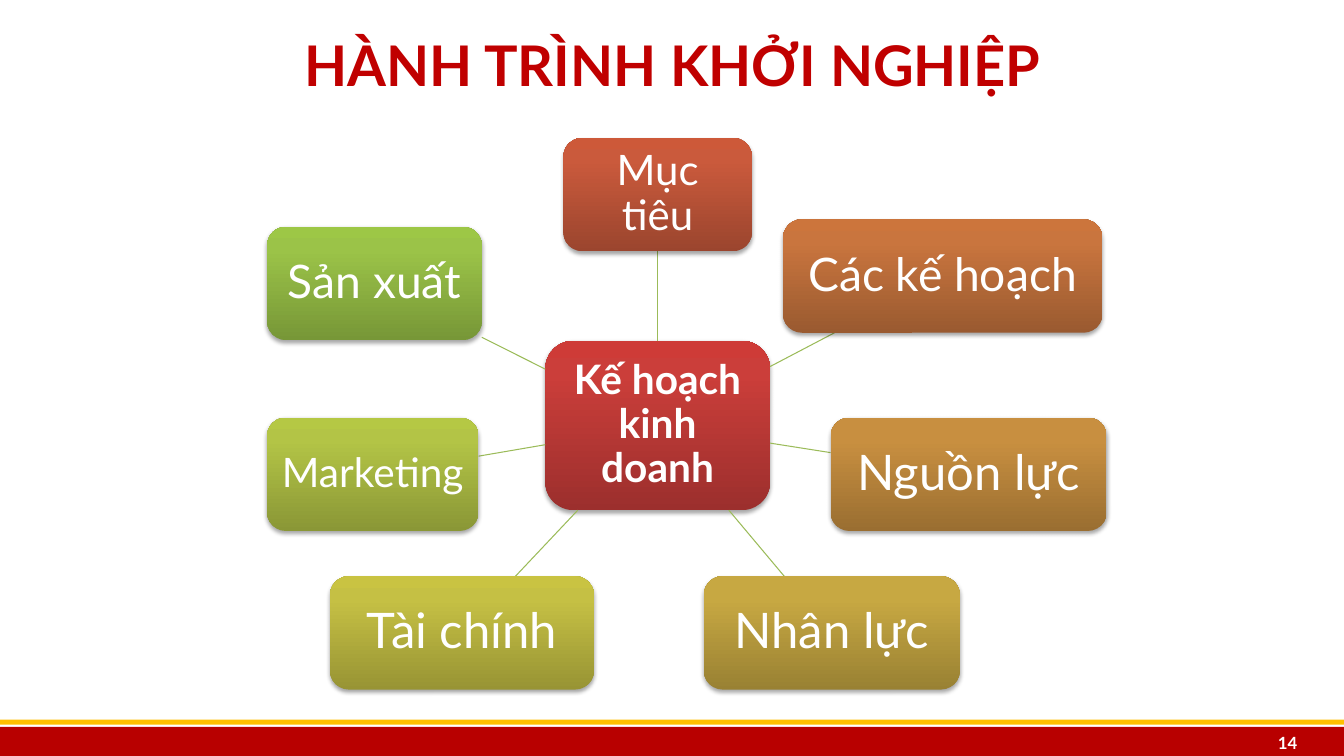
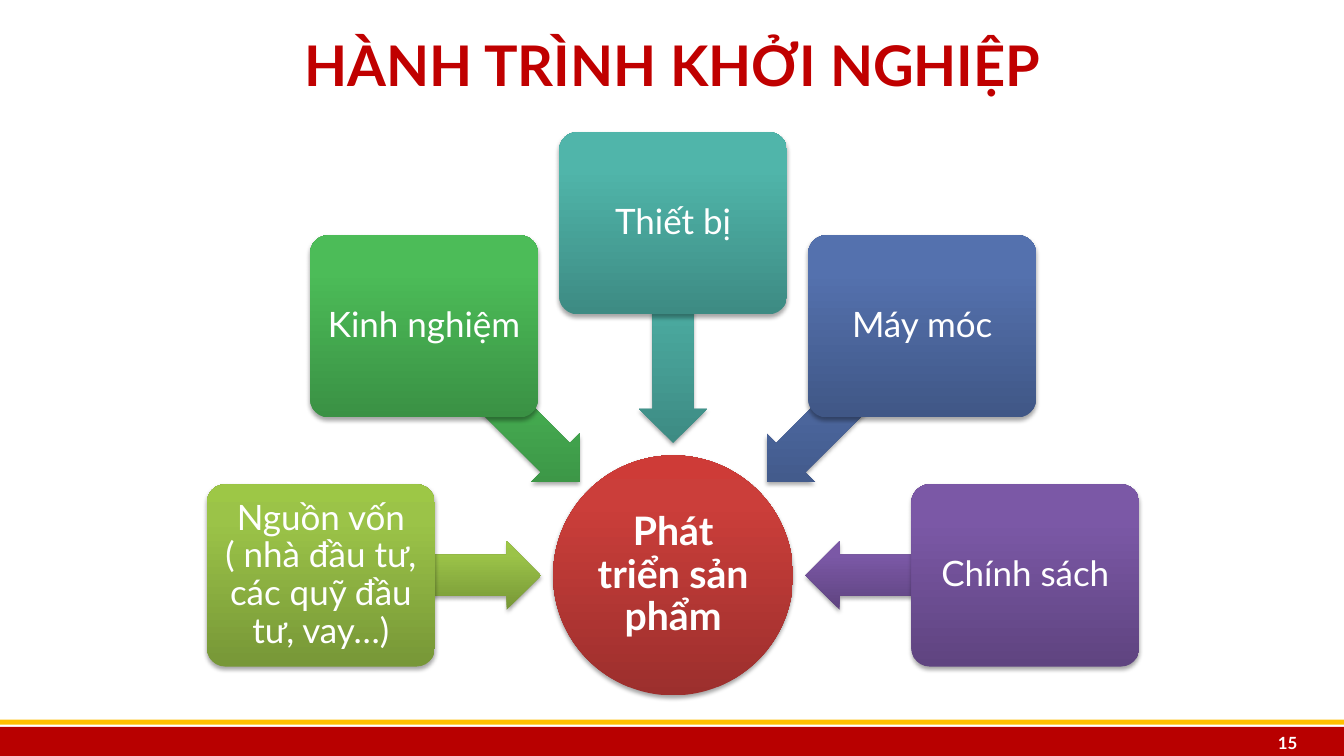
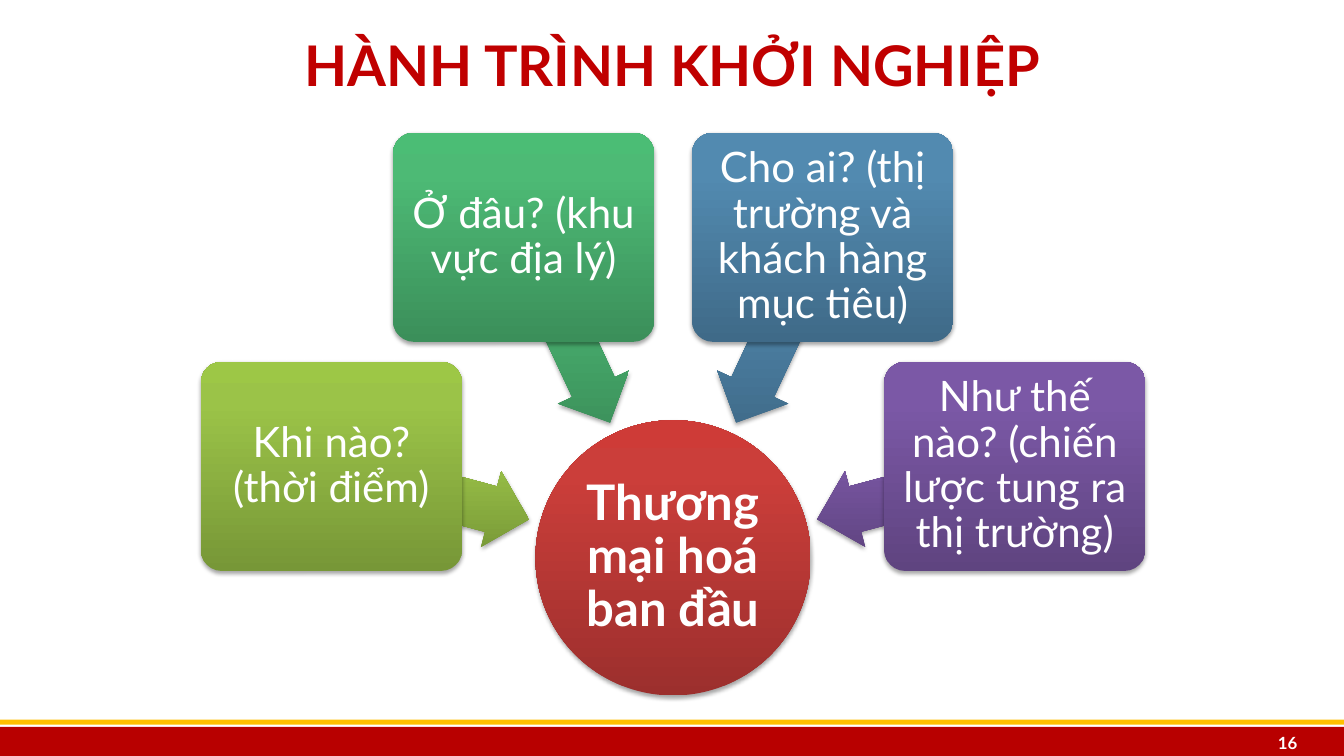
from dataclasses import dataclass
from math import cos, radians, sin
from typing import Any

from pptx import Presentation
from pptx.dml.color import RGBColor
from pptx.enum.shapes import MSO_CONNECTOR as Connector, MSO_SHAPE as Preset
from pptx.enum.text import MSO_ANCHOR as Anchor, PP_ALIGN as Align
from pptx.oxml import parse_xml
from pptx.oxml.ns import nsdecls, qn
from pptx.util import Pt

WIDTH, HEIGHT = 960, 540
BAND_TOP, BAND_HEIGHT = 519.2, 22.2
TITLE = "HÀNH TRÌNH KHỞI NGHIỆP"
FIRST_NUMBER = 14
TOP, BOTTOM = 0, 2

COLORS = {
    "title": "C00000", "band": "B80000", "stripe": "FFC000",
    "text": "FFFFFF", "spoke": "9BBB59", "shadow": "000000",
}
# Gradient stops from the bottom edge (0, 80 and 100 percent)
GRADIENTS = {
    "red": ("9C2F2D", "CB3E3A", "CE3B37"),
    "rust": ("9B452E", "CA5A3C", "CD5939"),
    "orange": ("9A5A30", "C9753E", "CC753C"),
    "amber": ("9A6E31", "C88F40", "CB903E"),
    "gold": ("998133", "C7A842", "CAAA40"),
    "olive": ("989434", "C5C044", "C9C342"),
    "lime": ("8A9736", "B3C446", "B5C844"),
    "leaf": ("779737", "9BC348", "9DC746"),
    "green": ("3A9144", "4CBC58", "4ABF57"),
    "emerald": ("3B8F5A", "4DBA75", "4BBD75"),
    "teal": ("3D8B83", "50B5AA", "4EB8AC"),
    "steel": ("3F6A88", "528AB0", "518BB3"),
    "blue": ("405786", "5471AE", "5271B0"),
    "purple": ("5F4480", "7B58A6", "7C57A8"),
}


@dataclass(frozen=True)
class Node:
    """A labelled shape placed by its centre; padding is a share of the text size."""
    text: str
    x: float
    y: float
    width: float
    height: float
    size: float
    gradient: str
    padding: float
    preset: Preset = Preset.ROUNDED_RECTANGLE
    corner: float | None = None
    bold: bool = False


@dataclass(frozen=True)
class Factor:
    """A box around a hub; the angle runs clockwise from the left."""
    text: str
    angle: float
    gradient: str


@dataclass(frozen=True)
class Radial:
    hub: Node
    factors: tuple[Factor, ...]
    box_radius: float
    box_width: float
    box_height: float
    text_size: float
    arrow_radius: float
    arrow_width: float
    arrow_height: float


def set_values(target: Any, values: dict[str, Any]) -> None:
    for name, value in values.items():
        setattr(target, name, value)


def write(shape: Any, text: str, size: float, color: str, bold: bool = False,
          align: Align = Align.CENTER, spacing: float | None = None,
          inset_x: float = 7.2, inset_y: float = 3.6) -> None:
    frame = shape.text_frame
    set_values(frame, {
        "word_wrap": True, "vertical_anchor": Anchor.MIDDLE,
        "margin_left": Pt(inset_x), "margin_right": Pt(inset_x),
        "margin_top": Pt(inset_y), "margin_bottom": Pt(inset_y),
    })
    para = frame.paragraphs[0]
    set_values(para, {"alignment": align, "line_spacing": spacing})
    span = para.add_run()
    span.text = text
    set_values(span.font, {"name": "Lato", "size": Pt(size), "bold": bold})
    span.font.color.rgb = RGBColor.from_string(COLORS[color])


def add_centred(page: Any, preset: Preset, x: float, y: float,
                width: float, height: float) -> Any:
    return page.shapes.add_shape(preset, Pt(x - width / 2), Pt(y - height / 2),
                                 Pt(width), Pt(height))


def make_glossy(shape: Any, gradient: str) -> None:
    """Give a shape its upright gradient and soft shadow, without an outline."""
    stops = "".join(
        f'<a:gs pos="{place}"><a:srgbClr val="{color}"/></a:gs>'
        for place, color in zip((0, 80000, 100000), GRADIENTS[gradient]))
    shape.fill.gradient()
    shape.line.fill.background()
    properties = shape.element.spPr
    properties.replace(properties.find(qn("a:gradFill")), parse_xml(
        f'<a:gradFill {nsdecls("a")} rotWithShape="0"><a:gsLst>{stops}</a:gsLst>'
        '<a:lin ang="16200000" scaled="0"/></a:gradFill>'))
    properties.append(parse_xml(
        f'<a:effectLst {nsdecls("a")}><a:outerShdw blurRad="{Pt(3.1)}" '
        f'dist="{Pt(1.8)}" dir="5400000" rotWithShape="0">'
        f'<a:srgbClr val="{COLORS["shadow"]}"><a:alpha val="35000"/></a:srgbClr>'
        '</a:outerShdw></a:effectLst>'))


def draw_node(page: Any, node: Node) -> Any:
    shape = add_centred(page, node.preset, node.x, node.y, node.width, node.height)
    if node.corner is not None:
        shape.adjustments[0] = node.corner
    make_glossy(shape, node.gradient)
    inset = node.size * node.padding
    write(shape, node.text, node.size, "text", node.bold, spacing=0.9,
          inset_x=inset, inset_y=inset)
    return shape


def edge_point(node: Node, other: Node) -> tuple[float, float]:
    """Where the line to the other node's centre leaves this node's rectangle."""
    dx, dy = other.x - node.x, other.y - node.y
    share = 1 / max(abs(dx) * 2 / node.width, abs(dy) * 2 / node.height)
    return node.x + dx * share, node.y + dy * share


def draw_spokes(page: Any, hub: Node, topics: list[Node]) -> None:
    hub_shape = draw_node(page, hub)
    for topic in topics:
        ends = edge_point(hub, topic) + edge_point(topic, hub)
        spoke = page.shapes.add_connector(Connector.STRAIGHT, *map(Pt, ends))
        spoke.line.width = Pt(0.75)
        spoke.line.color.rgb = RGBColor.from_string(COLORS["spoke"])
        spoke.element.spPr.append(parse_xml(f'<a:effectLst {nsdecls("a")}/>'))
        topic_shape = draw_node(page, topic)
        if topic.x == hub.x:
            spoke.begin_connect(hub_shape, TOP)
            spoke.end_connect(topic_shape, BOTTOM)


def draw_radial(page: Any, radial: Radial) -> None:
    hub = radial.hub
    draw_node(page, hub)
    for factor in radial.factors:
        across, up = cos(radians(factor.angle)), sin(radians(factor.angle))
        arrow = add_centred(page, Preset.LEFT_ARROW,
                            hub.x - across * radial.arrow_radius,
                            hub.y - up * radial.arrow_radius,
                            radial.arrow_width, radial.arrow_height)
        arrow.rotation = (180 + factor.angle) % 360
        arrow.adjustments[0], arrow.adjustments[1] = 0.6, 0.5
        make_glossy(arrow, factor.gradient)
        draw_node(page, Node(
            factor.text, hub.x - across * radial.box_radius,
            hub.y - up * radial.box_radius, radial.box_width, radial.box_height,
            radial.text_size, factor.gradient, padding=0.15, corner=0.1))


def add_page(deck: Any, layout: Any, number: int) -> Any:
    page = deck.slides.add_slide(layout)
    title = page.shapes.title
    set_values(title, {"left": Pt(26.6), "top": Pt(3.6),
                       "width": Pt(907.2), "height": Pt(85)})
    write(title, TITLE, 40, "title", bold=True)
    box = page.shapes.add_textbox(Pt(871.2), Pt(BAND_TOP), Pt(62.6), Pt(BAND_HEIGHT))
    write(box, str(number), 12, "text", bold=True, align=Align.RIGHT, inset_y=0)
    return page


def add_bands(page: Any, layout: Any) -> None:
    """Draw the footer bands and move them into the layout that all pages share."""
    for holder in list(layout.placeholders):
        if holder.placeholder_format.idx:
            holder.element.getparent().remove(holder.element)
    for top, height, color in ((BAND_TOP, BAND_HEIGHT, "band"), (514.1, 3.6, "stripe")):
        band = page.shapes.add_shape(Preset.RECTANGLE, 0, Pt(top), Pt(WIDTH), Pt(height))
        band.shadow.inherit = False
        band.fill.solid()
        band.fill.fore_color.rgb = RGBColor.from_string(COLORS[color])
        band.line.fill.background()
        layout.shapes.element.insert(2, band.element)


PLAN_HUB = Node("Kế hoạch kinh doanh", 469.8, 303.9, 160.6, 121, 29, "red", 0.2, bold=True)
PLAN_TOPICS = [
    Node(text, x, y, width, 81, size, gradient, padding=0.2)
    for text, x, y, width, size, gradient in (
        ("Mục tiêu", PLAN_HUB.x, 139, 134.6, 30, "rust"),
        ("Các kế hoạch", 673.4, 197.2, 228.2, 33, "orange"),
        ("Nguồn lực", 691.9, 338.8, 197.3, 35, "amber"),
        ("Nhân lực", 594.2, 452.1, 182.9, 35, "gold"),
        ("Tài chính", 330, 452.1, 188.6, 35, "olive"),
        ("Marketing", 266.3, 338.8, 151.2, 29, "lime"),
        ("Sản xuất", 267.5, 202.5, 153.4, 33, "leaf"),
    )
]

PRODUCT = Radial(
    Node("Phát triển sản phẩm", 480.8, 411, 171.4, 171.4, 28, "red", 0.05,
         Preset.OVAL, bold=True),
    (
        Factor("Nguồn vốn ( nhà đầu tư, các quỹ đầu tư, vay…)", 0, "leaf"),
        Factor("Kinh nghiệm", 45, "green"),
        Factor("Thiết bị", 90, "teal"),
        Factor("Máy móc", 135, "blue"),
        Factor("Chính sách", 180, "purple"),
    ),
    box_radius=251.6, box_width=162.8, box_height=130.2, text_size=25,
    arrow_radius=173, arrow_width=157, arrow_height=48.9)

MARKET = Radial(
    Node("Thương mại hoá ban đầu", 480.8, 398.5, 196.6, 196.6, 35, "red", 0.05,
         Preset.OVAL, bold=True),
    (
        Factor("Khi nào? (thời điểm)", 15, "leaf"),
        Factor("Ở đâu? (khu vực địa lý)", 65, "emerald"),
        Factor("Cho ai? (thị trường và khách hàng mục tiêu)", 115, "steel"),
        Factor("Như thế nào? (chiến lược tung ra thị trường)", 165, "purple"),
    ),
    box_radius=252.7, box_width=186.6, box_height=149.4, text_size=30,
    arrow_radius=179.7, arrow_width=146.2, arrow_height=56)


def main() -> None:
    deck = Presentation()
    set_values(deck, {"slide_width": Pt(WIDTH), "slide_height": Pt(HEIGHT)})
    layout = deck.slide_layouts.get_by_name("Title Only")
    pages = [add_page(deck, layout, FIRST_NUMBER + step) for step in range(3)]
    add_bands(pages[0], layout)
    draw_spokes(pages[0], PLAN_HUB, PLAN_TOPICS)
    draw_radial(pages[1], PRODUCT)
    draw_radial(pages[2], MARKET)
    deck.save("out.pptx")


if __name__ == "__main__":
    main()
